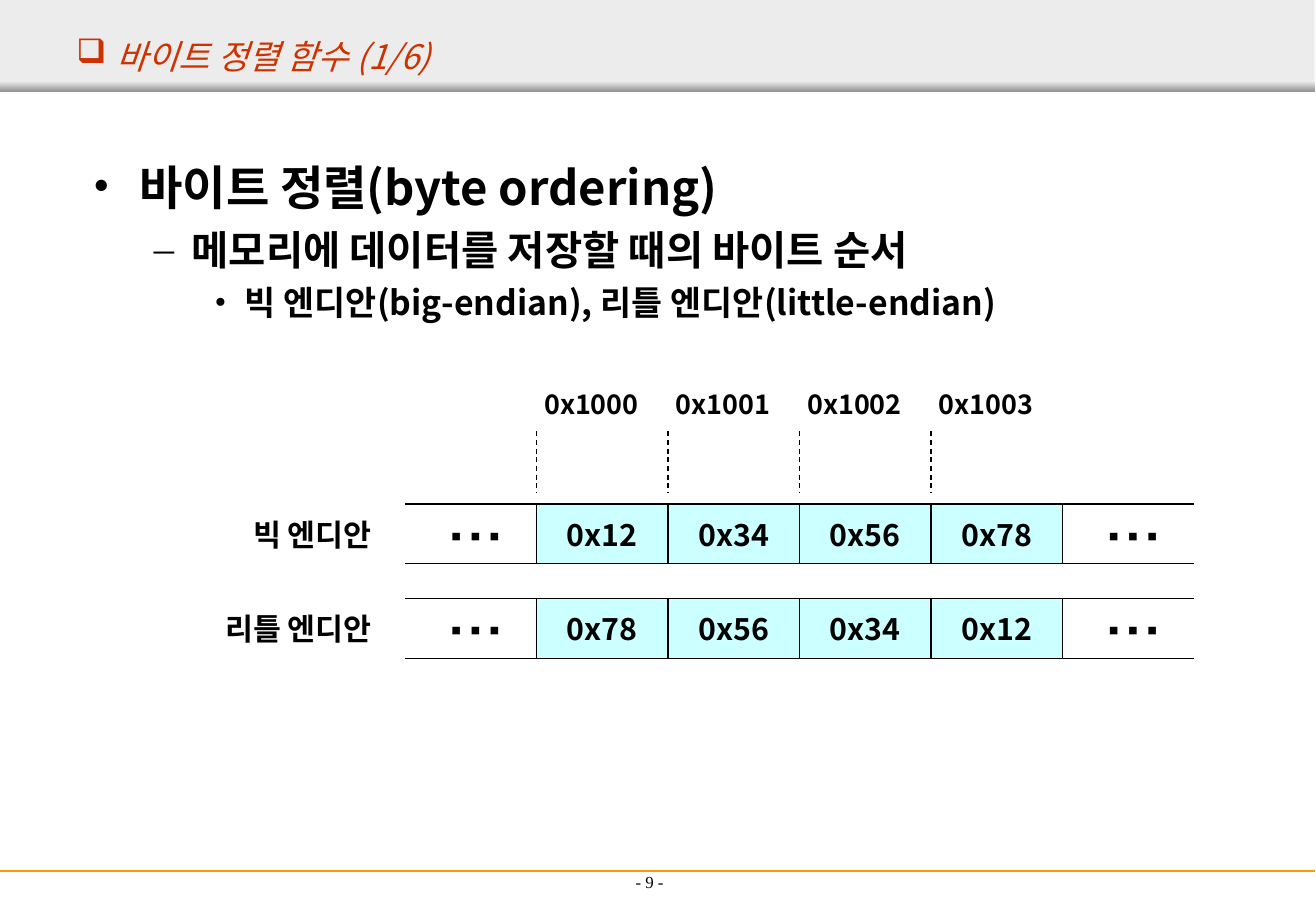
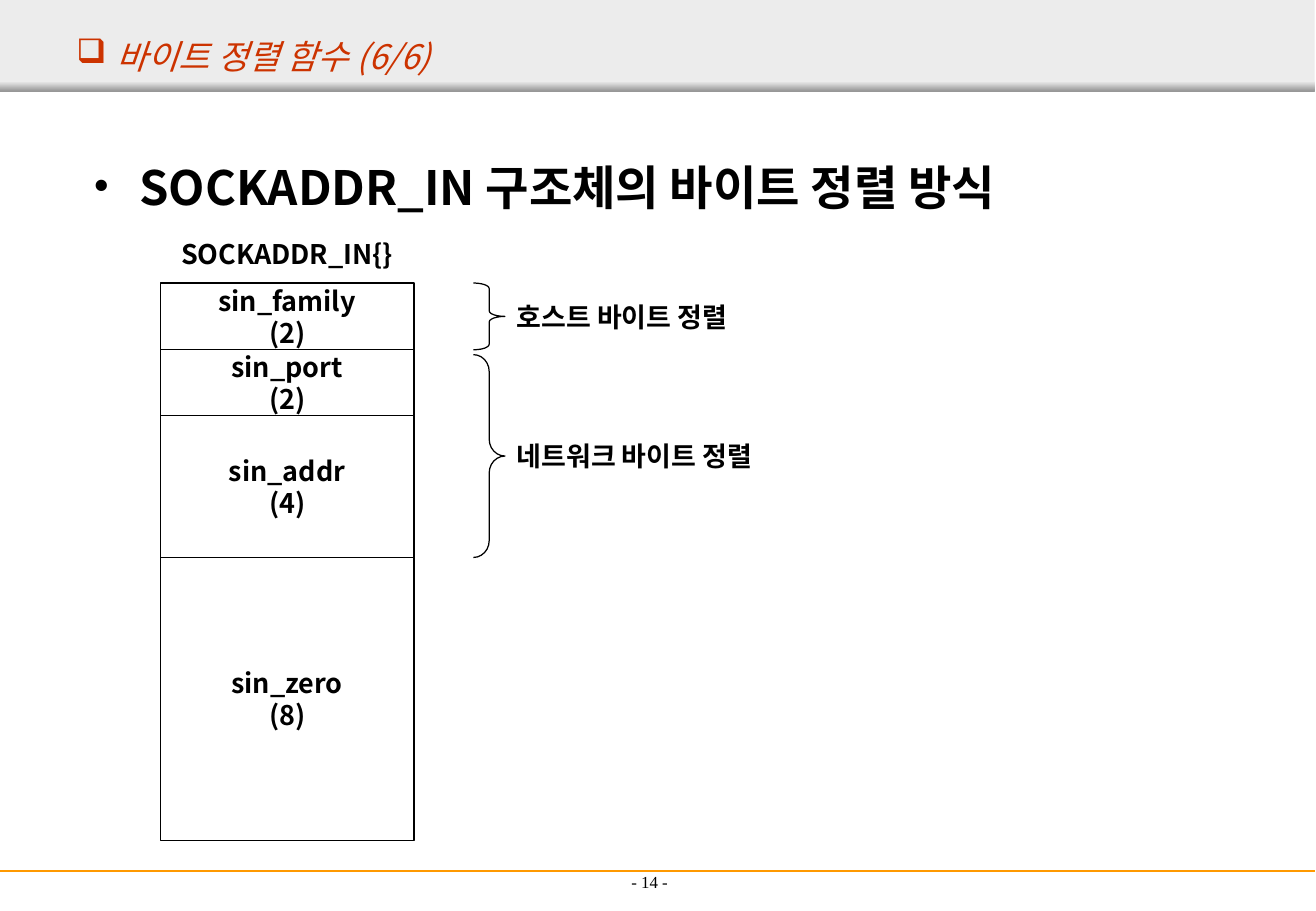
from lxml import etree
from pptx import Presentation
from pptx.dml.color import RGBColor as Rgb
from pptx.enum.dml import MSO_LINE as Dash
from pptx.enum.shapes import MSO_CONNECTOR as Connector, MSO_SHAPE as Preset
from pptx.enum.text import MSO_ANCHOR as Anchor, PP_ALIGN as Align
from pptx.oxml.ns import qn
from pptx.util import Inches, Pt

COLORS = {
    "text": "000000",
    "title": "CC3300",
    "band": "ECECEC",
    "band_edge": "979797",
    "rule": "FF9900",
    "cell": "CCFFFF",
}
FONT, DOT_FONT, NUMBER_FONT = "Noto Sans CJK KR", "Arial", "Times New Roman"
PAGE_WIDTH, PAGE_HEIGHT, BAND_WIDTH = 10.84, 7.5, 10.83

# Per outline level: text size, text indent, hanging indent, space before, bullet
LEVELS = [
    (28, 0.38, 0.38, 7, "•"),
    (24, 0.81, 0.31, 6, "–"),
    (20, 1.25, 0.25, 5, "•"),
]


def color(name):
    return Rgb.from_string(COLORS[name])


# Text
def style_para(para, size, font=FONT, ink="text", bold=True, italic=False, align=Align.LEFT):
    para.alignment = align
    para.font.size = Pt(size)
    para.font.bold = bold
    para.font.italic = italic
    para.font.color.rgb = color(ink)
    para.font.name = font
    run_defaults = para._p.pPr.find(qn("a:defRPr"))
    etree.SubElement(run_defaults, qn("a:ea")).set("typeface", font)


def add_bullet(para, mark, indent, hanging, ink="text", font=None):
    props = para._p.pPr
    props.set("marL", str(Inches(indent)))
    props.set("indent", str(-Inches(hanging)))
    tint = etree.Element(qn("a:buClr"))
    etree.SubElement(tint, qn("a:srgbClr")).set("val", COLORS[ink])
    parts = [tint]
    if font:
        parts.append(etree.Element(qn("a:buFont"), typeface=font))
    parts.append(etree.Element(qn("a:buChar"), char=mark))
    for part in parts:
        props.find(qn("a:defRPr")).addprevious(part)


def fill_text(shape, lines, size, anchor=Anchor.MIDDLE, **style):
    frame = shape.text_frame
    frame.word_wrap = True
    frame.vertical_anchor = anchor
    for index, line in enumerate(lines):
        para = frame.add_paragraph() if index else frame.paragraphs[0]
        para.text = line
        style_para(para, size, **style)
    return frame


def add_text(page, left, top, width, height, text, size, **style):
    box = page.shapes.add_textbox(Inches(left), Inches(top), Inches(width), Inches(height))
    return fill_text(box, [text], size, **style)


# Shapes and lines
def add_preset(page, kind, left, top, width, height, fill=None, outlined=True):
    shape = page.shapes.add_shape(
        kind, Inches(left), Inches(top), Inches(width), Inches(height))
    shape.shadow.inherit = False
    if fill:
        shape.fill.solid()
        shape.fill.fore_color.rgb = color(fill)
    else:
        shape.fill.background()
    if outlined:
        shape.line.color.rgb = color("text")
        shape.line.width = Pt(0.75)
    else:
        shape.line.fill.background()
    return shape


def add_line(page, x1, y1, x2, y2, ink="text", weight=0.75, dash=None):
    line = page.shapes.add_connector(
        Connector.STRAIGHT, Inches(x1), Inches(y1), Inches(x2), Inches(y2))
    line.line.color.rgb = color(ink)
    line.line.width = Pt(weight)
    if dash:
        line.line.dash_style = dash
    etree.SubElement(line._element.spPr, qn("a:effectLst"))


def add_brace(page, left, top, height, label):
    width, label_height = 0.26, 0.55
    brace = add_preset(page, Preset.RIGHT_BRACE, left, top, width, height)
    brace.adjustments[0] = height / 12 / min(width, height)
    add_text(page, left + width, top + (height - label_height) / 2, 3.93, label_height,
             label, 16)


# Shared page frame
def add_page(deck, title, number):
    page = deck.slides.add_slide(deck.slide_layouts[6])
    add_preset(page, Preset.RECTANGLE, 0, 0, BAND_WIDTH, 0.75, "band", outlined=False)
    edge = add_preset(page, Preset.RECTANGLE, 0, 0.67, BAND_WIDTH, 0.08, outlined=False)
    edge.fill.gradient()
    edge.fill.gradient_angle = 270
    for stop, name in zip(edge.fill.gradient_stops, ("band", "band_edge")):
        stop.color.rgb = color(name)
        stop.position = float(name == "band_edge")
    add_line(page, 0, 7.17, BAND_WIDTH, 7.17, "rule", 1.5)
    add_text(page, 3.69, 6.89, 3.32, 0.5, f"- {number} -", 10, anchor=Anchor.BOTTOM,
             font=NUMBER_FONT, bold=False, align=Align.CENTER)
    heading = add_text(page, 0.53, 0.25, 10.31, 0.42, title, 20,
                       ink="title", bold=False, italic=True)
    add_bullet(heading.paragraphs[0], "❑", 0.33, 0.33, "title")
    return page


def add_outline(page, lines):
    box = page.shapes.add_textbox(Inches(0.67), Inches(1.25), Inches(9.5), Inches(5.44))
    frame = fill_text(box, lines, LEVELS[0][0], anchor=Anchor.TOP)
    for level, (para, rule) in enumerate(zip(frame.paragraphs, LEVELS)):
        size, indent, hanging, before, mark = rule
        para.level = level
        para.font.size = Pt(size)
        para.space_before = Pt(before)
        add_bullet(para, mark, indent, hanging, font=NUMBER_FONT)


# Memory diagram
def add_memory_map(page):
    left, cell_width, cell_height = 4.42, 13 / 12, 0.49
    addresses = ["0x1000", "0x1001", "0x1002", "0x1003"]
    rows = [
        (4.15, "빅 엔디안", ["0x12", "0x34", "0x56", "0x78"]),
        (4.93, "리틀 엔디안", ["0x78", "0x56", "0x34", "0x12"]),
    ]
    for index, address in enumerate(addresses):
        x = left + index * cell_width
        add_text(page, x - 0.09, 3.08, cell_width, cell_height, address, 16,
                 align=Align.CENTER)
        add_line(page, x, 3.55, x, 4.06, dash=Dash.DASH)
    for top, label, values in rows:
        add_text(page, 1.16, top, 2, cell_height, label, 18, align=Align.RIGHT)
        for index, value in enumerate(values):
            cell = add_preset(page, Preset.RECTANGLE, left + index * cell_width, top,
                              cell_width, cell_height, "cell")
            fill_text(cell, [value], 18, align=Align.CENTER)
        for strip in (left - cell_width, left + len(values) * cell_width):
            add_text(page, strip + 0.08, top, 1, cell_height, "▪ ▪ ▪", 18,
                     font=DOT_FONT, align=Align.CENTER)
            for y in (top, top + cell_height):
                add_line(page, strip, y, strip + cell_width, y)


# Structure diagram
def add_struct_map(page):
    left, top, width = 1.32, 2.33, 2.09
    fields = [
        ("sin_family", 2, 0.55),
        ("sin_port", 2, 0.54),
        ("sin_addr", 4, 1.17),
        ("sin_zero", 8, 2.33),
    ]
    add_text(page, left, 1.92, width, 0.34, "SOCKADDR_IN{}", 16, align=Align.CENTER)
    for name, size, height in fields:
        field = add_preset(page, Preset.RECTANGLE, left, top, width, height)
        fill_text(field, [name, f"({size})"], 16, align=Align.CENTER)
        top += height
    add_brace(page, 3.9, 2.33, 0.55, "호스트 바이트 정렬")
    add_brace(page, 3.9, 2.92, 1.67, "네트워크 바이트 정렬")


def main():
    deck = Presentation()
    deck.slide_width, deck.slide_height = Inches(PAGE_WIDTH), Inches(PAGE_HEIGHT)

    page = add_page(deck, "바이트 정렬 함수 (1/6)", 9)
    add_outline(page, [
        "바이트 정렬(byte ordering)",
        "메모리에 데이터를 저장할 때의 바이트 순서",
        "빅 엔디안(big-endian), 리틀 엔디안(little-endian)",
    ])
    add_memory_map(page)

    page = add_page(deck, "바이트 정렬 함수 (6/6)", 14)
    add_outline(page, ["SOCKADDR_IN 구조체의 바이트 정렬 방식"])
    add_struct_map(page)

    deck.save("out.pptx")


if __name__ == "__main__":
    main()
